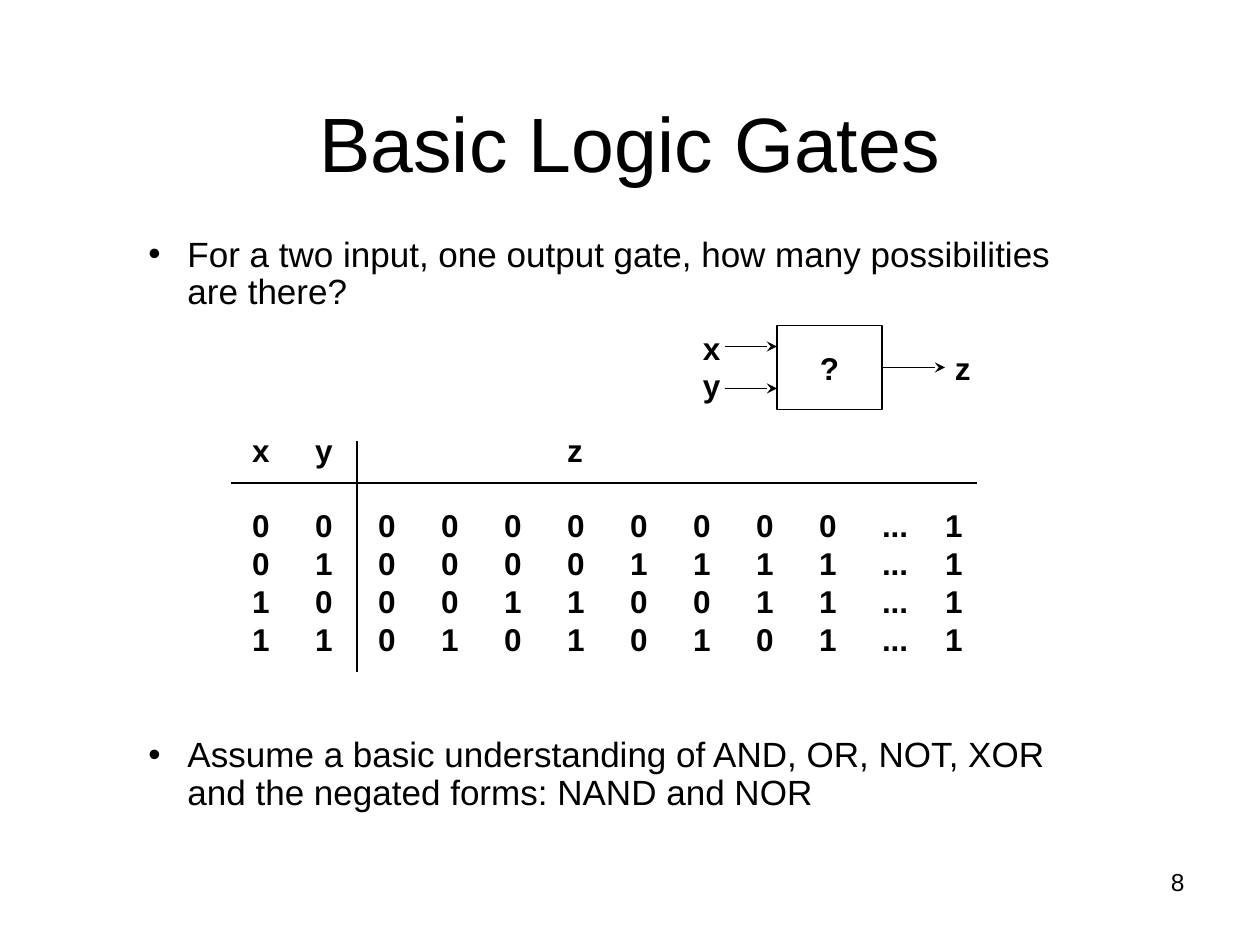
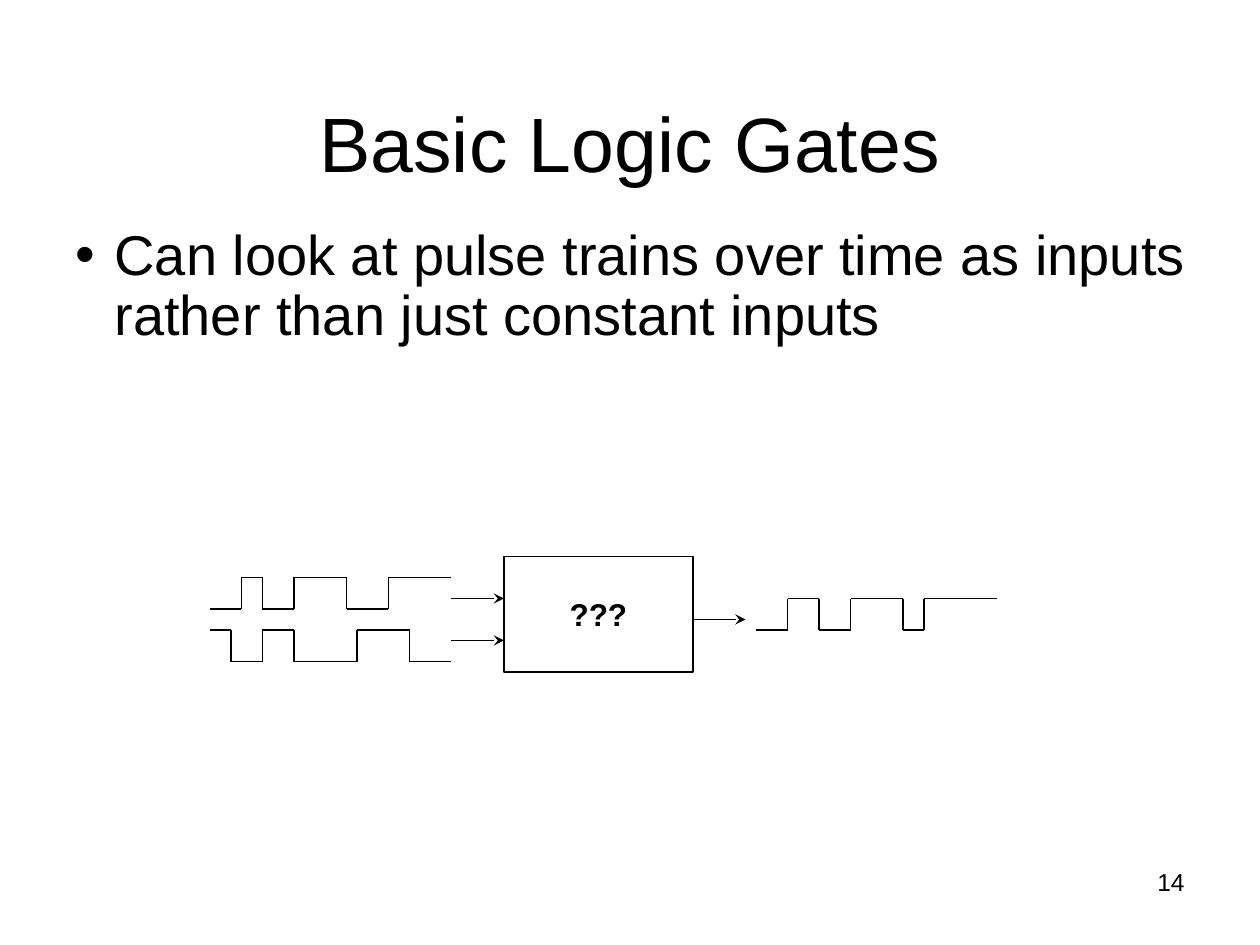
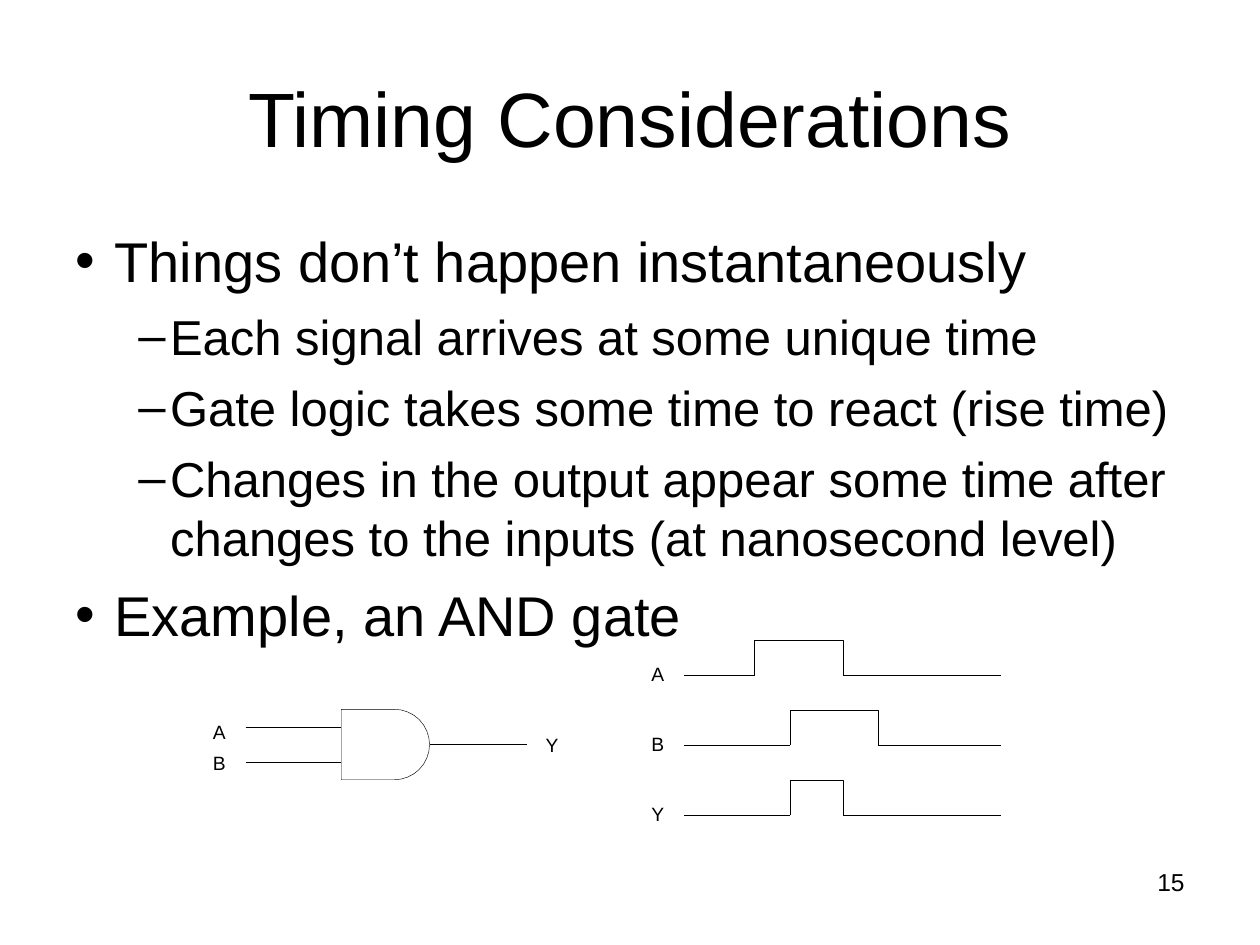
from dataclasses import dataclass
from itertools import pairwise
from math import cos, pi, sin

from lxml.etree import SubElement
from pptx import Presentation
from pptx.dml.color import RGBColor
from pptx.enum.shapes import MSO_CONNECTOR, MSO_SHAPE
from pptx.enum.text import MSO_ANCHOR, MSO_AUTO_SIZE, PP_ALIGN
from pptx.oxml.ns import qn
from pptx.slide import Slide
from pptx.util import Cm, Pt

FONT = "Arial"
INK = "000000"
PAPER = "FFFFFF"
THIN = 0.25
UNIT = 2.54 / 12  # drawing grid of the gate diagrams, in cm


@dataclass(frozen=True)
class Box:
    left: float
    top: float
    width: float
    height: float


@dataclass(frozen=True)
class Style:
    size: float
    bold: bool = False
    align: PP_ALIGN = PP_ALIGN.LEFT
    spacing: float = 1.0


@dataclass(frozen=True)
class Bullet:
    text: str
    size: float
    before: float
    mark: str = "•"
    margin: float = 0.79
    hang: float = 0.79


@dataclass(frozen=True)
class Wire:
    """A straight line between two points, in grid units."""
    x1: float
    y1: float
    x2: float
    y2: float
    arrow: bool = False


@dataclass(frozen=True)
class PulseTrain:
    """Level changes at each inner edge; edges and levels in grid units."""
    edges: tuple[int, ...]
    first_level: int
    second_level: int


@dataclass(frozen=True)
class Signal:
    """One pulse on a time line, in cm."""
    name: str
    rise: float
    fall: float


@dataclass(frozen=True)
class Label:
    text: str
    left: float
    top: float


TITLE_BOX = Box(1.27, 0.76, 22.86, 3.18)
NUMBER_BOX = Box(18.21, 17.35, 5.92, 1.32)
SYMBOL = Style(18, bold=True)
SMALL = Style(11)

TRUTH_ROWS = (
    ("x", "y", "", "", "", "z", "", "", "", "", "", ""),
    "0 0 0 0 0 0 0 0 0 0 ... 1".split(),
    "0 1 0 0 0 0 1 1 1 1 ... 1".split(),
    "1 0 0 0 1 1 0 0 1 1 ... 1".split(),
    "1 1 0 1 0 1 0 1 0 1 ... 1".split(),
)
TRUTH_RULES = (Wire(22, 46, 93, 46), Wire(34, 42, 34, 64))
GATE_WIRES = (
    Wire(69, 33, 74, 33, True),
    Wire(84, 35, 90, 35, True),
    Wire(69, 37, 74, 37, True),
)
TRAIN_WIRES = (
    Wire(43, 57, 48, 57, True),
    Wire(43, 61, 48, 61, True),
    Wire(66, 59, 71, 59, True),
)
TRAINS = (
    PulseTrain((20, 23, 25, 28, 33, 37, 43), 58, 55),
    PulseTrain((20, 22, 25, 28, 34, 39, 43), 60, 63),
    PulseTrain((72, 75, 78, 81, 86, 88, 95), 60, 57),
)
SIGNALS = (
    Signal("A", 15.21, 16.99),
    Signal("B", 15.93, 17.7),
    Signal("Y", 15.93, 16.99),
)
GATE_LABELS = (Label("A", 4.29, 14.53), Label("B", 4.29, 15.14), Label("Y", 11, 14.78))


def colour(code: str) -> RGBColor:
    return RGBColor.from_string(code)


def add_run(paragraph, text: str, style: Style) -> None:
    paragraph.alignment = style.align
    if style.spacing != 1:
        paragraph.line_spacing = style.spacing
    run = paragraph.add_run()
    run.text = text
    run.font.name = FONT
    run.font.size = Pt(style.size)
    run.font.bold = style.bold
    run.font.color.rgb = colour(INK)


def add_lines(frame, lines: tuple[str, ...], style: Style) -> None:
    for index, line in enumerate(lines):
        paragraph = frame.add_paragraph() if index else frame.paragraphs[0]
        add_run(paragraph, line, style)


def add_text(slide: Slide, box: Box, *lines: str, style: Style,
             anchor: MSO_ANCHOR = MSO_ANCHOR.TOP):
    frame = slide.shapes.add_textbox(
        Cm(box.left), Cm(box.top), Cm(box.width), Cm(box.height)).text_frame
    frame.word_wrap = True
    frame.vertical_anchor = anchor
    add_lines(frame, lines, style)
    return frame


def add_symbols(slide: Slide, box: Box, *lines: str, style: Style = SYMBOL):
    """Text that sizes its box instead of wrapping."""
    frame = add_text(slide, box, *lines, style=style)
    frame.word_wrap = False
    frame.auto_size = MSO_AUTO_SIZE.SHAPE_TO_FIT_TEXT
    return frame


def add_label(slide: Slide, label: Label) -> None:
    frame = add_symbols(slide, Box(label.left, label.top, 0.25, 0.46), label.text, style=SMALL)
    frame.margin_left = frame.margin_right = frame.margin_top = frame.margin_bottom = 0


def add_bullets(slide: Slide, box: Box, bullets: tuple[Bullet, ...], spacing: float) -> None:
    frame = add_text(slide, box, style=SMALL)
    for index, bullet in enumerate(bullets):
        paragraph = frame.add_paragraph() if index else frame.paragraphs[0]
        add_run(paragraph, bullet.text, Style(bullet.size, spacing=spacing))
        paragraph.space_before = Pt(bullet.before)
        properties = paragraph._p.get_or_add_pPr()
        properties.set("marL", str(Cm(bullet.margin)))
        properties.set("indent", str(-Cm(bullet.hang)))
        SubElement(properties, qn("a:buFont")).set("typeface", FONT)
        SubElement(properties, qn("a:buChar")).set("char", bullet.mark)


def add_line(slide: Slide, x1: float, y1: float, x2: float, y2: float,
             weight: float, arrow: bool = False) -> None:
    connector = slide.shapes.add_connector(
        MSO_CONNECTOR.STRAIGHT, Cm(x1), Cm(y1), Cm(x2), Cm(y2))
    connector.line.width = Pt(weight)
    connector.line.color.rgb = colour(INK)
    if arrow:
        SubElement(connector.line._get_or_add_ln(), qn("a:tailEnd")).set("type", "stealth")
    SubElement(connector._element.spPr, qn("a:effectLst"))


def add_wires(slide: Slide, wires: tuple[Wire, ...]) -> None:
    for wire in wires:
        ends = (end * UNIT for end in (wire.x1, wire.y1, wire.x2, wire.y2))
        add_line(slide, *ends, weight=1, arrow=wire.arrow)


def add_pulse_train(slide: Slide, train: PulseTrain) -> None:
    level, other = train.first_level, train.second_level
    wires = []
    for start, end in pairwise(train.edges):
        wires.append(Wire(start, level, end, level))
        if end != train.edges[-1]:
            wires.append(Wire(end, level, end, other))
        level, other = other, level
    add_wires(slide, tuple(wires))


def add_unknown_gate(slide: Slide, grid: Box, mark: str) -> None:
    gate = slide.shapes.add_shape(
        MSO_SHAPE.RECTANGLE, Cm(grid.left * UNIT), Cm(grid.top * UNIT),
        Cm(grid.width * UNIT), Cm(grid.height * UNIT))
    gate.shadow.inherit = False
    gate.fill.solid()
    gate.fill.fore_color.rgb = colour(PAPER)
    gate.line.color.rgb = colour(INK)
    gate.line.width = Pt(1)
    gate.text_frame.word_wrap = False
    gate.text_frame.vertical_anchor = MSO_ANCHOR.MIDDLE
    add_lines(gate.text_frame, (mark,), Style(18, bold=True, align=PP_ALIGN.CENTER))


def add_outline(slide: Slide, points: list[tuple[float, float]], close: bool = False) -> None:
    start, *rest = [(Cm(x), Cm(y)) for x, y in points]
    builder = slide.shapes.build_freeform(*start)
    builder.add_line_segments(rest, close=close)
    outline = builder.convert_to_shape()
    outline.shadow.inherit = False
    outline.fill.background()
    outline.line.color.rgb = colour(INK)
    outline.line.width = Pt(THIN)


def add_and_gate(slide: Slide) -> None:
    left, shoulder, middle, radius = 6.88, 7.95, 15.01, 0.71
    angles = [pi / 2 - pi * step / 16 for step in range(17)]
    curve = [(shoulder + radius * cos(a), middle + radius * sin(a)) for a in angles]
    add_outline(slide, [(left, middle - radius), (left, middle + radius), *curve], close=True)
    add_line(slide, 10.62, middle, shoulder + radius, middle, THIN)
    for y in (middle - radius / 2, middle + radius / 2):
        add_line(slide, 4.95, y, left, y, THIN)
    for label in GATE_LABELS:
        add_label(slide, label)


def add_signal(slide: Slide, signal: Signal, base: float) -> None:
    top = base - 0.71
    add_outline(slide, [(signal.rise, base), (signal.rise, top),
                        (signal.fall, top), (signal.fall, base)])
    add_line(slide, 13.79, base, signal.rise, base, THIN)
    add_line(slide, signal.fall, base, 20.17, base, THIN)
    add_label(slide, Label(signal.name, 13.13, base - 0.25))


def add_truth_table(slide: Slide) -> None:
    column, row = 1.27, 0.76
    columns = len(TRUTH_ROWS[0])
    table = slide.shapes.add_table(
        len(TRUTH_ROWS), columns, Cm(4.83), Cm(8.74),
        Cm(columns * column), Cm((len(TRUTH_ROWS) + 1) * row)).table
    table.first_row = table.horz_banding = False
    for index, values in enumerate(TRUTH_ROWS):
        table.rows[index].height = Cm(row if index else 2 * row)
        for cell, value in zip(table.rows[index].cells, values):
            cell.fill.background()
            cell.margin_left = Cm(0.25)
            cell.margin_right = cell.margin_top = cell.margin_bottom = 0
            add_run(cell.text_frame.paragraphs[0], value, SYMBOL)
    for each in table.columns:
        each.width = Cm(column)
    add_wires(slide, TRUTH_RULES)


def new_slide(deck, title: str, number: int, anchor: MSO_ANCHOR = MSO_ANCHOR.BOTTOM,
              spacing: float = 0.9) -> Slide:
    slide = deck.slides.add_slide(deck.slide_layouts[6])
    add_text(slide, NUMBER_BOX, str(number), style=Style(14, align=PP_ALIGN.RIGHT))
    add_text(slide, TITLE_BOX, title, anchor=anchor,
             style=Style(44, align=PP_ALIGN.CENTER, spacing=spacing))
    return slide


def build_possibilities(deck) -> None:
    slide = new_slide(deck, "Basic Logic Gates", 8)
    add_bullets(slide, Box(2.74, 4.65, 19.69, 12.7), (
        Bullet("For a two input, one output gate, how many possibilities are there?", 20, 5),
        Bullet("Assume a basic understanding of AND, OR, NOT, XOR and the negated forms: "
               "NAND and NOR", 20, 243),
    ), spacing=0.9)
    add_truth_table(slide)
    add_unknown_gate(slide, Box(74, 31, 10, 8), "?")
    add_wires(slide, GATE_WIRES)
    add_symbols(slide, Box(13.92, 6.5, 0.86, 1.78), "x", "y")
    add_symbols(slide, Box(19, 6.91, 0.84, 1.02), "z")


def build_pulse_trains(deck) -> None:
    slide = new_slide(deck, "Basic Logic Gates", 14)
    add_bullets(slide, Box(1.27, 4.45, 23.5, 12.57), (
        Bullet("Can look at pulse trains over time as inputs rather than just constant inputs",
               32, 8),
    ), spacing=0.9)
    add_unknown_gate(slide, Box(48, 53, 18, 11), "???")
    for train in TRAINS:
        add_pulse_train(slide, train)
    add_wires(slide, TRAIN_WIRES)


def build_timing(deck) -> None:
    slide = new_slide(deck, "Timing Considerations", 15, MSO_ANCHOR.MIDDLE, spacing=1)
    details = (
        "Each signal arrives at some unique time",
        "Gate logic takes some time to react (rise time)",
        "Changes in the output appear some time after changes to the inputs "
        "(at nanosecond level)",
    )
    add_bullets(slide, Box(1.27, 4.45, 22.86, 12.57), (
        Bullet("Things don’t happen instantaneously", 32, 8),
        *(Bullet(detail, 28, 7, "–", 1.91, 0.64) for detail in details),
        Bullet("Example, an AND gate", 32, 8),
    ), spacing=1)
    add_and_gate(slide)
    for index, signal in enumerate(SIGNALS):
        add_signal(slide, signal, 13.61 + index * 1.41)


def main() -> None:
    deck = Presentation()
    deck.slide_width, deck.slide_height = Cm(25.4), Cm(19.05)
    build_possibilities(deck)
    build_pulse_trains(deck)
    build_timing(deck)
    deck.save("out.pptx")


if __name__ == "__main__":
    main()
